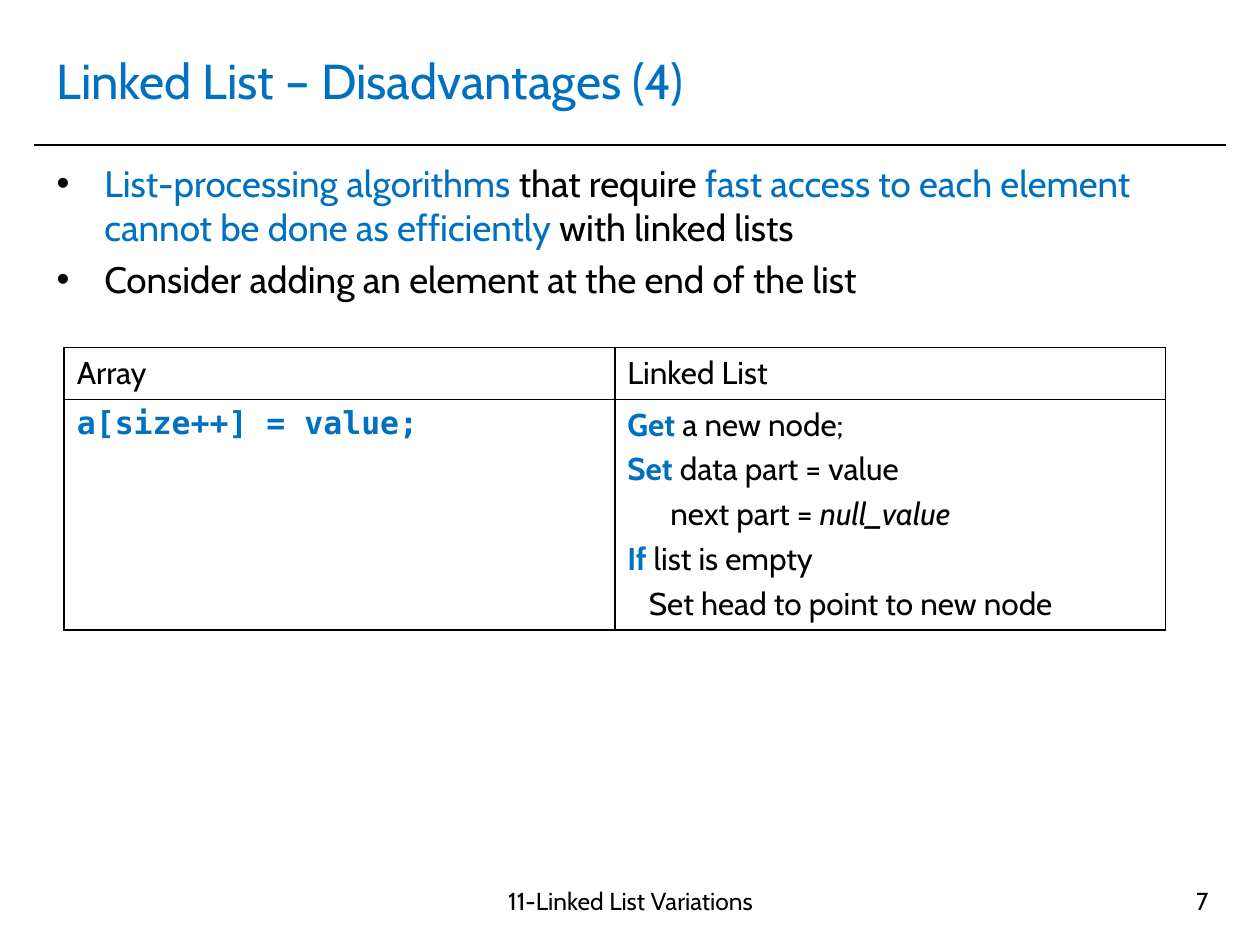
"""Build the slide on the disadvantages of linked lists."""
from lxml import etree
from pptx import Presentation
from pptx.dml.color import RGBColor
from pptx.enum.shapes import MSO_CONNECTOR
from pptx.enum.text import MSO_ANCHOR, PP_ALIGN
from pptx.oxml.ns import qn
from pptx.util import Inches, Pt

STRAIGHT = MSO_CONNECTOR.STRAIGHT
MIDDLE, TOP = MSO_ANCHOR.MIDDLE, MSO_ANCHOR.TOP
LEFT, CENTER, RIGHT = PP_ALIGN.LEFT, PP_ALIGN.CENTER, PP_ALIGN.RIGHT
BLACK = RGBColor(0x00, 0x00, 0x00)
BLUE = RGBColor(0x00, 0x70, 0xC0)
WHITE = RGBColor(0xFF, 0xFF, 0xFF)
SANS, MONO = "Cabin", "DejaVu Sans Mono"
KEY = {"color": BLUE, "bold": True}
TINT = {"color": BLUE}
CODE = {**KEY, "name": MONO}


def add_run(para, text, size, color=BLACK, **form):
    run = para.add_run()
    run.text = text
    for key, value in {"name": SANS, "size": Pt(size), **form}.items():
        setattr(run.font, key, value)
    run.font.color.rgb = color


def set_bullet(para):
    props = para._p.get_or_add_pPr()
    props.set("marL", str(Inches(0.38)))
    props.set("indent", str(-Inches(0.38)))
    tint = etree.SubElement(props, qn("a:buClr"))
    etree.SubElement(tint, qn("a:srgbClr"), val=str(BLACK))
    etree.SubElement(props, qn("a:buFont"), typeface="Arial")
    etree.SubElement(props, qn("a:buChar"), char="•")


def fill_text(frame, lines, size, align=LEFT, bullet=False):
    for i, (indent, runs) in enumerate(lines):
        para = frame.paragraphs[0] if i == 0 else frame.add_paragraph()
        if bullet:
            set_bullet(para)
        elif indent:
            para._p.get_or_add_pPr().set("marL", str(Inches(indent)))
        para.alignment = align
        if i:
            para.space_before = Pt(size * 0.2)
        for text, form in runs:
            add_run(para, text, size, **form)


def add_text(slide, box, lines, size, anchor=TOP, **form):
    frame = slide.shapes.add_textbox(*map(Inches, box)).text_frame
    frame.word_wrap = True
    frame.vertical_anchor = anchor
    fill_text(frame, lines, size, **form)


def add_rule(slide, left, right, top):
    ends = map(Inches, (left, top, right, top))
    rule = slide.shapes.add_connector(STRAIGHT, *ends)
    rule.line.color.rgb = BLACK
    rule.line.width = Pt(1)
    etree.SubElement(rule._element.spPr, qn("a:effectLst"))


def set_border(cell):
    props = cell._tc.get_or_add_tcPr()
    for side in ("lnL", "lnR", "lnT", "lnB"):
        line = etree.SubElement(props, qn(f"a:{side}"), w=str(Pt(1)))
        fill = etree.SubElement(line, qn("a:solidFill"))
        etree.SubElement(fill, qn("a:srgbClr"), val=str(BLACK))


def add_grid(slide, box, heights, rows):
    shape = slide.shapes.add_table(len(rows), len(rows[0]), *map(Inches, box))
    table = shape.table
    table.first_row = table.horz_banding = False
    for row, height, cells in zip(table.rows, heights, rows):
        row.height = Inches(height)
        for cell, lines in zip(row.cells, cells):
            set_border(cell)
            cell.fill.solid()
            cell.fill.fore_color.rgb = WHITE
            fill_text(cell.text_frame, lines, 18)


def main():
    deck = Presentation()
    deck.slide_width, deck.slide_height = Inches(10), Inches(7.5)
    slide = deck.slides.add_slide(deck.slide_layouts[6])

    add_rule(slide, 0.27, 9.73, 1.15)
    title = [(0, [("Linked List – Disadvantages (4)", TINT)])]
    add_text(slide, (0.35, 0.21, 9.29, 0.85), title, 28, MIDDLE)
    points = [
        (0, [("List-processing algorithms ", TINT),
             ("that require ", {}),
             ("fast access to each element cannot be done as efficiently ", TINT),
             ("with linked lists", {})]),
        (0, [("Consider adding an element at the end of the list", {})]),
    ]
    add_text(slide, (0.35, 1.23, 9.29, 1.34), points, 21, bullet=True)

    steps = [
        (0, [("Get", KEY), (" a new node;", {})]),
        (0, [("Set ", KEY), ("data part = value", {})]),
        (0.34, [("next part = ", {}), ("null_value", {"italic": True})]),
        (0, [("If", KEY), (" list is empty", {})]),
        (0.17, [("Set head to point to new node", {})]),
    ]
    rows = [
        [[(0, [("Array", {})])], [(0, [("Linked List", {})])]],
        [[(0, [("a[size++] = value;", CODE)])], steps],
    ]
    add_grid(slide, (0.51, 2.76, 8.74, 2.24), (0.41, 1.83), rows)

    footer = [(0, [("11-Linked List Variations", {})])]
    add_text(slide, (3.35, 6.98, 3.31, 0.52), footer, 14, align=CENTER)
    number = [(0, [("7", {})])]
    add_text(slide, (7.36, 6.98, 2.33, 0.52), number, 14, align=RIGHT)
    deck.save("out.pptx")


if __name__ == "__main__":
    main()
